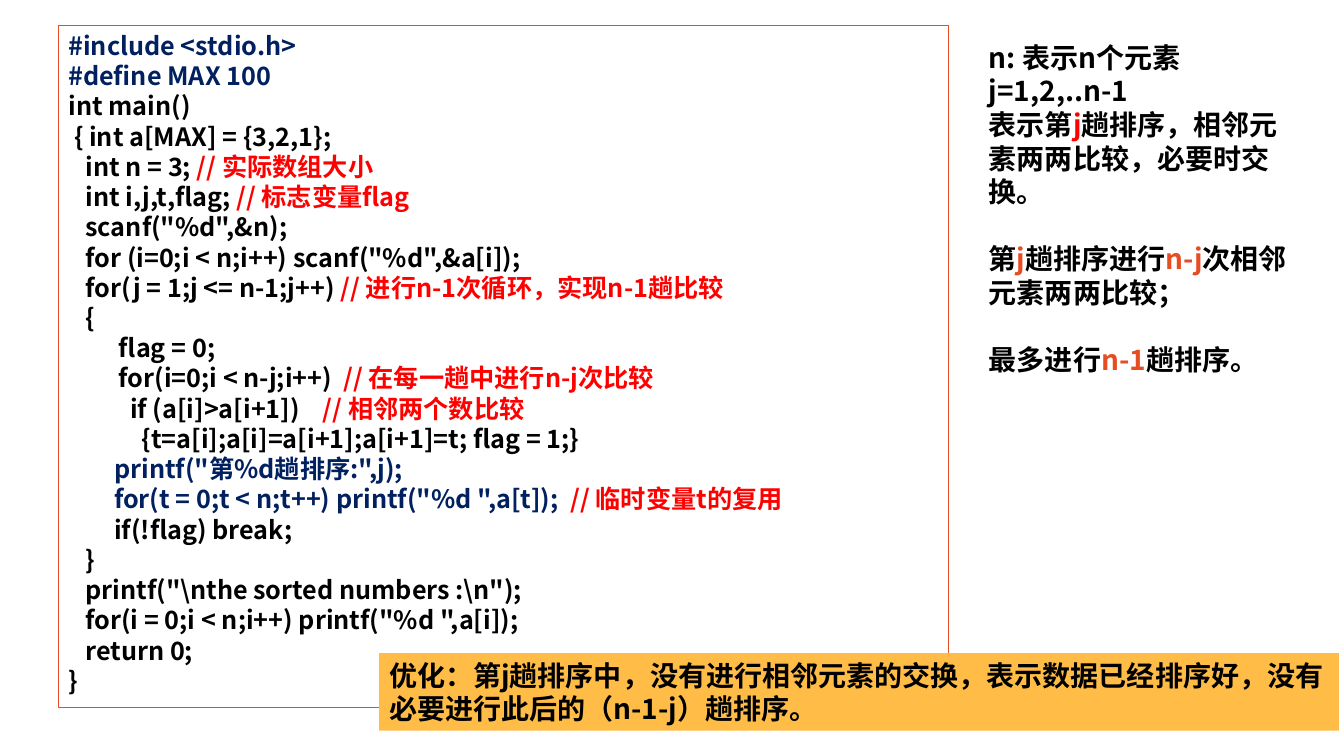
from pptx import Presentation
from pptx.dml.color import RGBColor
from pptx.enum.shapes import MSO_SHAPE
from pptx.enum.text import MSO_ANCHOR, PP_ALIGN
from pptx.oxml.ns import qn
from pptx.util import Inches, Pt
from lxml import etree

RECT = MSO_SHAPE.RECTANGLE
TOP = MSO_ANCHOR.TOP
LEFT = PP_ALIGN.LEFT
FONT = "Noto Sans CJK SC"
COLORS = {
    "black": "000000",
    "navy": "002060",
    "red": "FF0000",
    "orange": "E84C22",
    "amber": "FFBD47",
}

CODE = [
    [("#include <stdio.h>", "navy")],
    [("#define MAX 100", "navy")],
    [("int main()", "black")],
    [(" { int a[MAX] = {3,2,1};", "black")],
    [("   int n = 3; ", "black"), ("// 实际数组大小", "red")],
    [("   int i,j,t,flag; ", "black"), ("// 标志变量flag", "red")],
    [('   scanf("%d",&n);', "black")],
    [('   for (i=0;i < n;i++) scanf("%d",&a[i]);', "black")],
    [("   for(j = 1;j <= n-1;j++) ", "black"),
     ("// 进行n-1次循环，实现n-1趟比较", "red")],
    [("   {", "black")],
    [("\tflag = 0;", "black")],
    [("\tfor(i=0;i < n-j;i++)  ", "black"), ("// 在每一趟中进行n-j次比较", "red")],
    [("\t  if (a[i]>a[i+1])    ", "black"), ("// 相邻两个数比较", "red")],
    [("\t    {t=a[i];a[i]=a[i+1];a[i+1]=t; flag = 1;}", "black")],
    [('        printf("第%d趟排序:",j);', "navy")],
    [('        for(t = 0;t < n;t++) printf("%d ",a[t]);  ', "navy"),
     ("// 临时变量t的复用", "red")],
    [("        if(!flag) break;", "black")],
    [("   }", "black")],
    [('   printf("\\nthe sorted numbers :\\n");', "black")],
    [('   for(i = 0;i < n;i++) printf("%d ",a[i]);', "black")],
    [("   return 0;", "black")],
    [("}", "black")],
]
NOTES = [
    [("n: 表示n个元素", "black")],
    [("j=1,2,..n-1", "black")],
    [("表示第", "black"), ("j", "red"),
     ("趟排序，相邻元素两两比较，必要时交换。", "black")],
    [("第", "black"), ("j", "orange"), ("趟排序进行", "black"),
     ("n-j", "orange"), ("次相邻元素两两比较；", "black")],
    [("最多进行", "black"), ("n-1", "orange"), ("趟排序。", "black")],
]
OPTIMIZATION = [
    [("优化：第j趟排序中，没有进行相邻元素的交换，表示数据已经排序好，"
      "没有必要进行此后的（n-1-j）趟排序。", "black")],
]


def rgb(name):
    return RGBColor.from_string(COLORS[name])


def add_run(p, text, color, size):
    r = p.add_run()
    r.text = text
    r.font.size = Pt(size)
    r.font.bold = True
    r.font.name = FONT
    r.font.color.rgb = rgb(color)
    ea = etree.SubElement(r.font._element, qn("a:ea"))
    ea.set("typeface", FONT)


def fill_text(sp, lines, size, spaced=()):
    tf = sp.text_frame
    tf.word_wrap = True
    tf.vertical_anchor = TOP
    for i, line in enumerate(lines):
        p = tf.add_paragraph() if i else tf.paragraphs[0]
        p.alignment = LEFT
        p.line_spacing = Pt(size * 1.2)
        if i in spaced:
            p.space_before = Pt(size * 1.2)
        for text, color in line:
            add_run(p, text, color, size)


def add_panel(s, box, fill=None, line=None):
    sp = s.shapes.add_shape(RECT, *map(Inches, box))
    sp.shadow.inherit = False
    if fill:
        sp.fill.solid()
        sp.fill.fore_color.rgb = rgb(fill)
    else:
        sp.fill.background()
    if line:
        sp.line.color.rgb = rgb(line)
        sp.line.width = Pt(0.75)
    else:
        sp.line.fill.background()
    return sp


def main():
    prs = Presentation()
    prs.slide_width = Inches(13.33)
    prs.slide_height = Inches(7.5)
    s = prs.slides.add_slide(prs.slide_layouts[6])

    code = add_panel(s, (0.58, 0.25, 8.83, 6.77), line="orange")
    fill_text(code, CODE, 18)

    notes = s.shapes.add_textbox(*map(Inches, (9.71, 0.35, 3.16, 3.47)))
    fill_text(notes, NOTES, 20, spaced=(3, 4))

    optimization = add_panel(s, (3.76, 6.48, 9.52, 0.77), fill="amber")
    fill_text(optimization, OPTIMIZATION, 20)

    prs.save("out.pptx")


if __name__ == "__main__":
    main()
